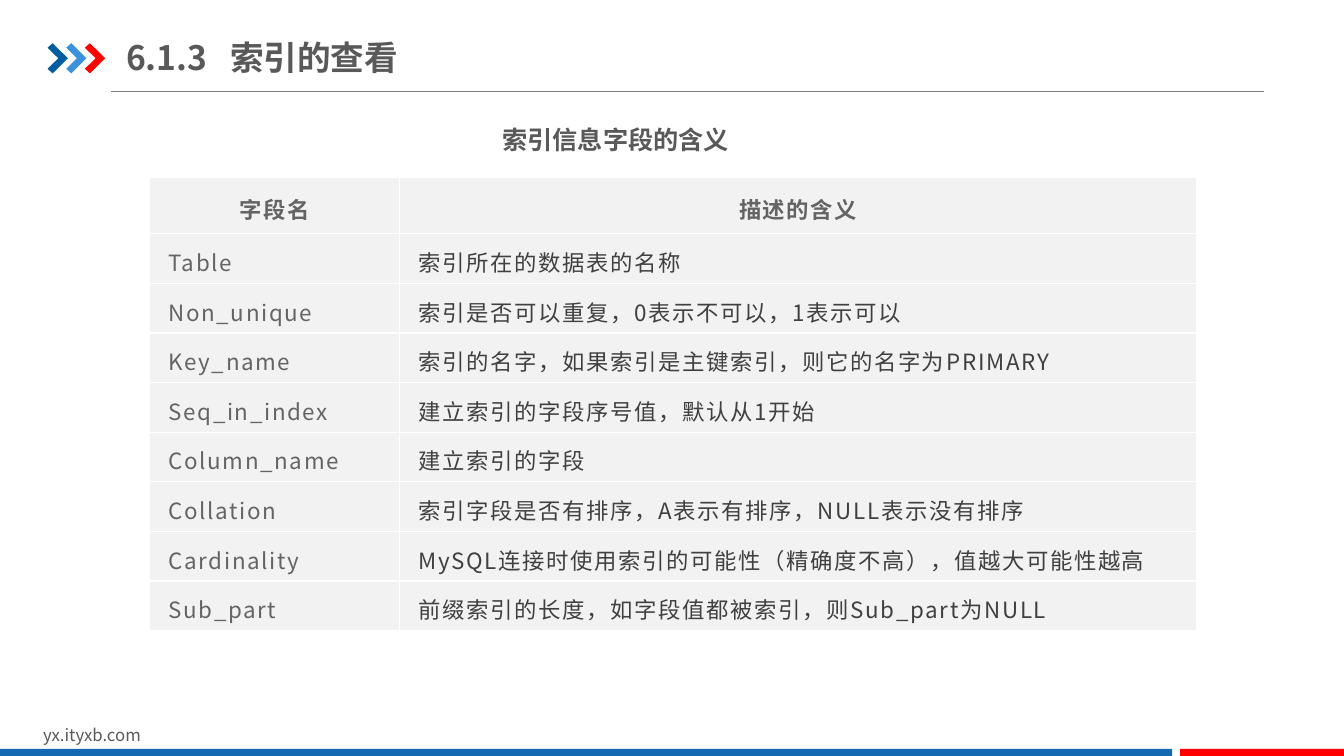
from lxml import etree
from pptx import Presentation, util as u
from pptx.dml.color import RGBColor
from pptx.enum import shapes, text
from pptx.oxml import ns

FONT = "Noto Sans CJK SC"
GREY = "595959"
FIELDS = [
    ("字段名", "描述的含义"),
    ("Table", "索引所在的数据表的名称"),
    ("Non_unique", "索引是否可以重复，0表示不可以，1表示可以"),
    ("Key_name", "索引的名字，如果索引是主键索引，则它的名字为PRIMARY"),
    ("Seq_in_index", "建立索引的字段序号值，默认从1开始"),
    ("Column_name", "建立索引的字段"),
    ("Collation", "索引字段是否有排序，A表示有排序，NULL表示没有排序"),
    ("Cardinality", "MySQL连接时使用索引的可能性（精确度不高），值越大可能性越高"),
    ("Sub_part", "前缀索引的长度，如字段值都被索引，则Sub_part为NULL"),
]


def colour(value):
    return RGBColor.from_string(value)


def add_element(parent, tag, **attributes):
    return etree.SubElement(parent, ns.qn(tag), attributes)


def write(frame, words, size, hue=GREY, bold=False, align=text.PP_ALIGN.LEFT,
          line=1.0, spacing=0, tab=None):
    para = frame.paragraphs[0]
    para.alignment = align
    para.line_spacing = line
    if tab:
        stops = add_element(para._p.get_or_add_pPr(), "a:tabLst")
        add_element(stops, "a:tab", pos=str(u.Cm(tab)), algn="l")
    span = para.add_run()
    span.text = words
    span.font.size = u.Pt(size)
    span.font.bold = bold
    span.font.color.rgb = colour(hue)
    span.font.name = FONT
    properties = span.font._element
    add_element(properties, "a:ea", typeface=FONT)
    if spacing:
        properties.set("spc", str(round(spacing * 100)))


def paint(shape, hue):
    shape.shadow.inherit = False
    shape.fill.solid()
    shape.fill.fore_color.rgb = colour(hue)
    shape.line.fill.background()


def add_label(page, left, top, width, height, words, size, **style):
    box = page.shapes.add_textbox(u.Cm(left), u.Cm(top), u.Cm(width), u.Cm(height))
    box.text_frame.word_wrap = True
    write(box.text_frame, words, size, **style)


def add_header(page, left, top, width, height):
    # Three chevrons, each drawn from fractions of its own box
    outline = [(0, .15), (.25, 0), (1, .5), (.25, 1), (0, .85), (.53, .5)]
    for index, hue in enumerate(["005DA2", "3992DB", "FF0000"]):
        points = [(u.Cm(left + index * 0.47 + x * 0.51), u.Cm(top + 0.35 + y * 0.76))
                  for x, y in outline]
        builder = page.shapes.build_freeform(*points[0])
        builder.add_line_segments(points[1:], close=True)
        paint(builder.convert_to_shape(), hue)

    # Title
    title = page.shapes.title
    title.left, title.top = u.Cm(left + 1.98), u.Cm(top)
    title.width, title.height = u.Cm(11.79), u.Cm(1.4)
    frame = title.text_frame
    frame.auto_size = text.MSO_AUTO_SIZE.NONE
    frame.vertical_anchor = text.MSO_ANCHOR.MIDDLE
    frame.margin_left = frame.margin_right = 0
    write(frame, "6.1.3\t索引的查看", 24, bold=True, tab=2.62)

    # Rule under the title
    level = u.Cm(top + height)
    rule = page.shapes.add_connector(shapes.MSO_CONNECTOR.STRAIGHT, u.Cm(left + 1.6),
                                     level, u.Cm(left + width), level)
    rule.line.color.rgb = colour("808080")
    rule.line.width = u.Pt(0.75)
    add_element(rule._element.spPr, "a:effectLst")


def format_cell(cell):
    cell.vertical_anchor = text.MSO_ANCHOR.MIDDLE
    cell.margin_left = cell.margin_right = u.Cm(0.48)
    cell.margin_top = cell.margin_bottom = u.Cm(0.08)
    for side in "LRTB":
        border = add_element(cell._tc.get_or_add_tcPr(), f"a:ln{side}", w=str(u.Pt(1)))
        add_element(add_element(border, "a:solidFill"), "a:srgbClr", val="FFFFFF")
    cell.fill.solid()
    cell.fill.fore_color.rgb = colour("F2F2F2")


def add_field_table(page, left, top, width, height):
    # Caption
    add_label(page, left + 8.64, top - 1.85, 7.04, 1.4, "索引信息字段的含义", 18,
              bold=True, line=1.5)

    # Table
    table = page.shapes.add_table(len(FIELDS), 2, u.Cm(left), u.Cm(top),
                                  u.Cm(width), u.Cm(height)).table
    name_width, header_height = 6.3, 1.42
    table.columns[0].width = u.Cm(name_width)
    table.columns[1].width = u.Cm(width - name_width)
    row_height = (height - header_height) / (len(FIELDS) - 1)
    for row, words in enumerate(FIELDS):
        header = row == 0
        table.rows[row].height = u.Cm(header_height if header else row_height)
        for column, entry in enumerate(words):
            cell = table.cell(row, column)
            format_cell(cell)
            write(cell.text_frame, entry, 16, bold=header, line=1.2, spacing=1.2,
                  hue="404040" if column and not header else "646464",
                  align=text.PP_ALIGN.CENTER if header else text.PP_ALIGN.LEFT)


def add_footer(page, left, top, width, height):
    # Web address above the bars
    add_label(page, left + 0.84, top - 0.74, 8.08, 0.77, "yx.ityxb.com", 12)

    # Blue and red bars
    red_width, gap = 4.13, 0.2
    blue_width = width - red_width - gap
    for start, length, hue in [(left, blue_width, "1369B2"),
                               (left + blue_width + gap, red_width, "FF0000")]:
        bar = page.shapes.add_shape(shapes.MSO_SHAPE.RECTANGLE, u.Cm(start), u.Cm(top),
                                    u.Cm(length), u.Cm(height))
        paint(bar, hue)


def main():
    deck = Presentation()
    deck.slide_width, deck.slide_height = u.Cm(33.87), u.Cm(19.05)
    page = deck.slides.add_slide(deck.slide_layouts[5])
    add_header(page, 1.2, 0.74, 30.65, 1.57)
    add_field_table(page, 3.77, 4.47, 26.39, 11.42)
    add_footer(page, 0, 18.87, 33.87, 0.18)
    deck.save("out.pptx")


if __name__ == "__main__":
    main()
